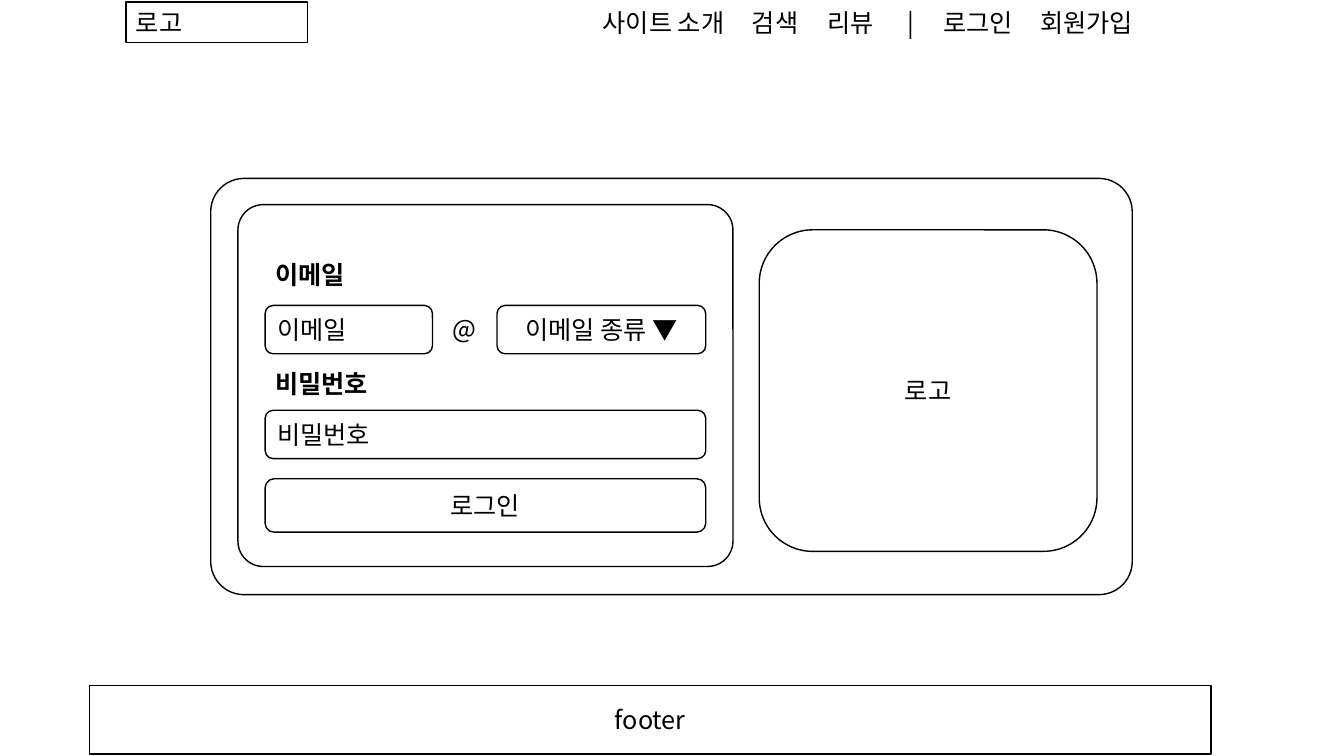
from pptx import Presentation
from pptx import util as u
from pptx.dml.color import RGBColor
from pptx.enum import shapes, text
from pptx.oxml.ns import qn
from lxml import etree

COLORS = {"ink": "000000", "paper": "FFFFFF"}
FONT = "Noto Sans CJK KR"
SIZE = 18

NAV_ITEMS = ["사이트 소개", "검색", "리뷰", "|", "로그인", "회원가입"]
NAV_TABS = [1.48, 2.23, 3.02, 3.38, 4.34]

# Form grid: one left edge, one full width, one field height
FORM_X, FORM_W = 2.63, 4.37
FIELD_H, LABEL_W, LABEL_H = 0.48, 1.65, 0.4
DOMAIN_W = 2.07
DOMAIN_X = FORM_X + FORM_W - DOMAIN_W

# style: (preset, filled, outlined, anchored in the middle)
STYLES = {
    "bar": ("RECTANGLE", True, True, True),
    "badge": ("RECTANGLE", True, True, False),
    "label": ("RECTANGLE", True, False, False),
    "field": ("FLOWCHART_ALTERNATE_PROCESS", True, True, True),
    "frame": ("ROUNDED_RECTANGLE", False, True, True),
}

# (style, (left, top, width, height), wording, options), back to front
PARTS = [
    ("bar", (0.89, 6.8, 11.12, 0.68), "footer", {"center": True}),
    ("badge", (1.25, 0.02, 1.8, LABEL_H), "로고", {}),
    ("label", (5.88, 0.02, 6.13, LABEL_H), "\t".join(NAV_ITEMS), {"tabs": NAV_TABS}),
    ("field", (7.53, 2.28, 3.35, 3.19), "로고", {"center": True}),
    ("field", (FORM_X, 4.75, FORM_W, 0.53), "로그인", {"center": True}),
    ("frame", (2.36, 2.03, 4.91, 3.59), "", {"corner": 0.07}),
    ("frame", (2.09, 1.77, 9.14, 4.13), "", {"corner": 0.08}),
    ("field", (FORM_X, 3.03, 1.66, FIELD_H), "이메일", {}),
    ("field", (DOMAIN_X, 3.03, DOMAIN_W, FIELD_H), "이메일 종류 ▼", {"center": True}),
    ("label", (4.31, 3.06, 0.59, LABEL_H), "@", {"center": True}),
    ("field", (FORM_X, 4.07, FORM_W, FIELD_H), "비밀번호", {}),
    ("label", (FORM_X, 2.52, LABEL_W, LABEL_H), "이메일", {"bold": True}),
    ("label", (FORM_X, 3.6, LABEL_W, LABEL_H), "비밀번호", {"bold": True}),
]


def color(name):
    return RGBColor.from_string(COLORS[name])


def write(box, wording, middle, center=False, bold=False, tabs=()):
    frame = box.text_frame
    frame.word_wrap = True
    frame.vertical_anchor = text.MSO_ANCHOR.MIDDLE if middle else text.MSO_ANCHOR.TOP
    para = frame.paragraphs[0]
    para.alignment = text.PP_ALIGN.CENTER if center else text.PP_ALIGN.LEFT
    if tabs:
        stops = etree.SubElement(para._p.get_or_add_pPr(), qn("a:tabLst"))
        for stop in tabs:
            etree.SubElement(stops, qn("a:tab"), pos=str(u.Inches(stop)), algn="l")
    span = para.add_run()
    span.text = wording
    span.font.name = FONT
    span.font.size = u.Pt(SIZE)
    span.font.bold = bold
    span.font.color.rgb = color("ink")
    etree.SubElement(span._r.get_or_add_rPr(), qn("a:ea"), typeface=FONT)


def add_part(page, style, place, wording, options):
    preset, filled, outlined, middle = STYLES[style]
    box = page.shapes.add_shape(shapes.MSO_SHAPE[preset], *map(u.Inches, place))
    box.shadow.inherit = False
    if filled:
        box.fill.solid()
        box.fill.fore_color.rgb = color("paper")
    else:
        box.fill.background()
    if outlined:
        box.line.color.rgb = color("ink")
        box.line.width = u.Pt(1)
    else:
        box.line.fill.background()
    if "corner" in options:
        box.adjustments[0] = options["corner"]
    if wording:
        write(box, wording, middle, **options)


def main():
    deck = Presentation()
    deck.slide_width, deck.slide_height = u.Inches(13.33), u.Inches(7.5)
    page = deck.slides.add_slide(deck.slide_layouts[6])
    for part in PARTS:
        add_part(page, *part)
    deck.save("out.pptx")


if __name__ == "__main__":
    main()
